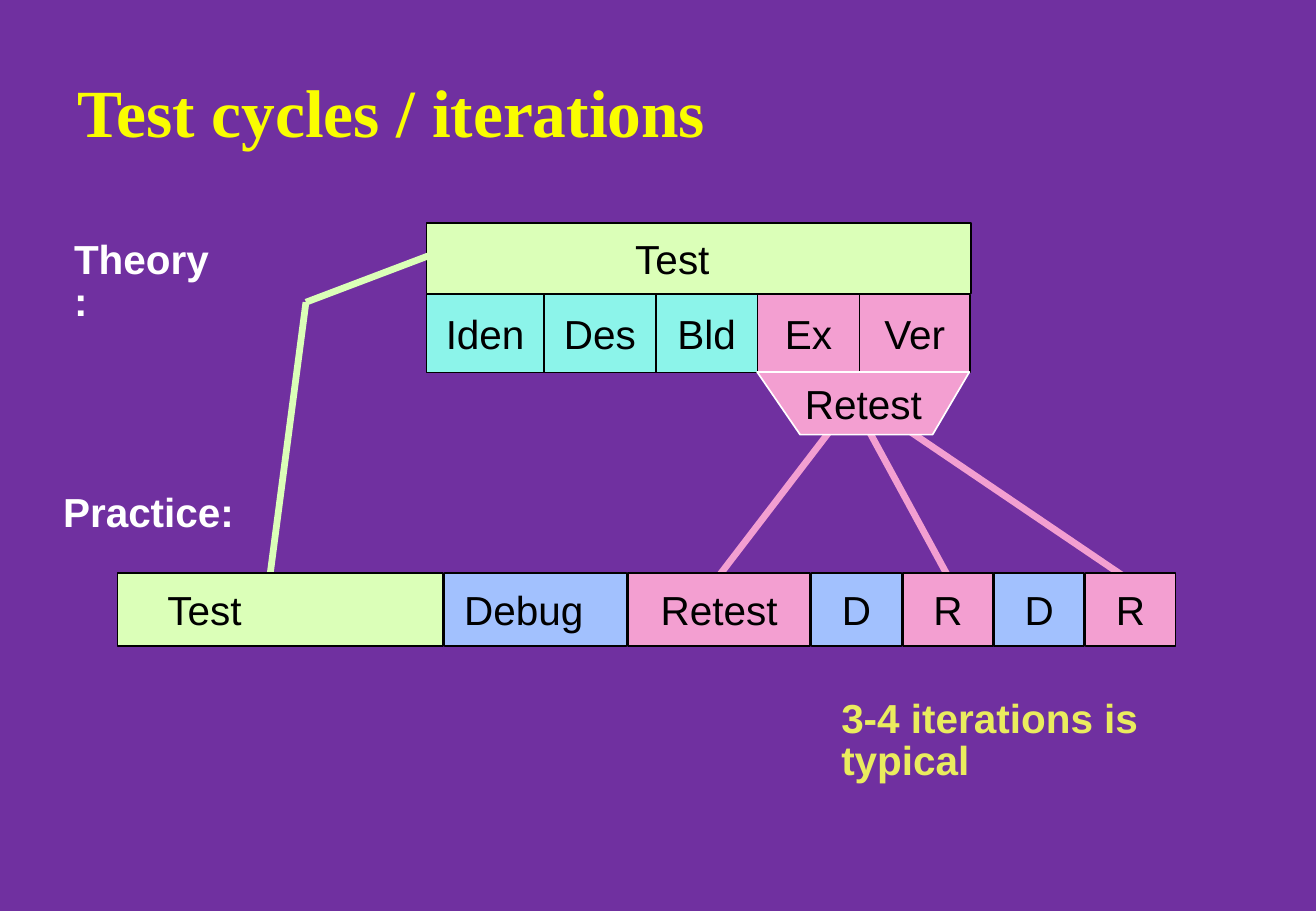
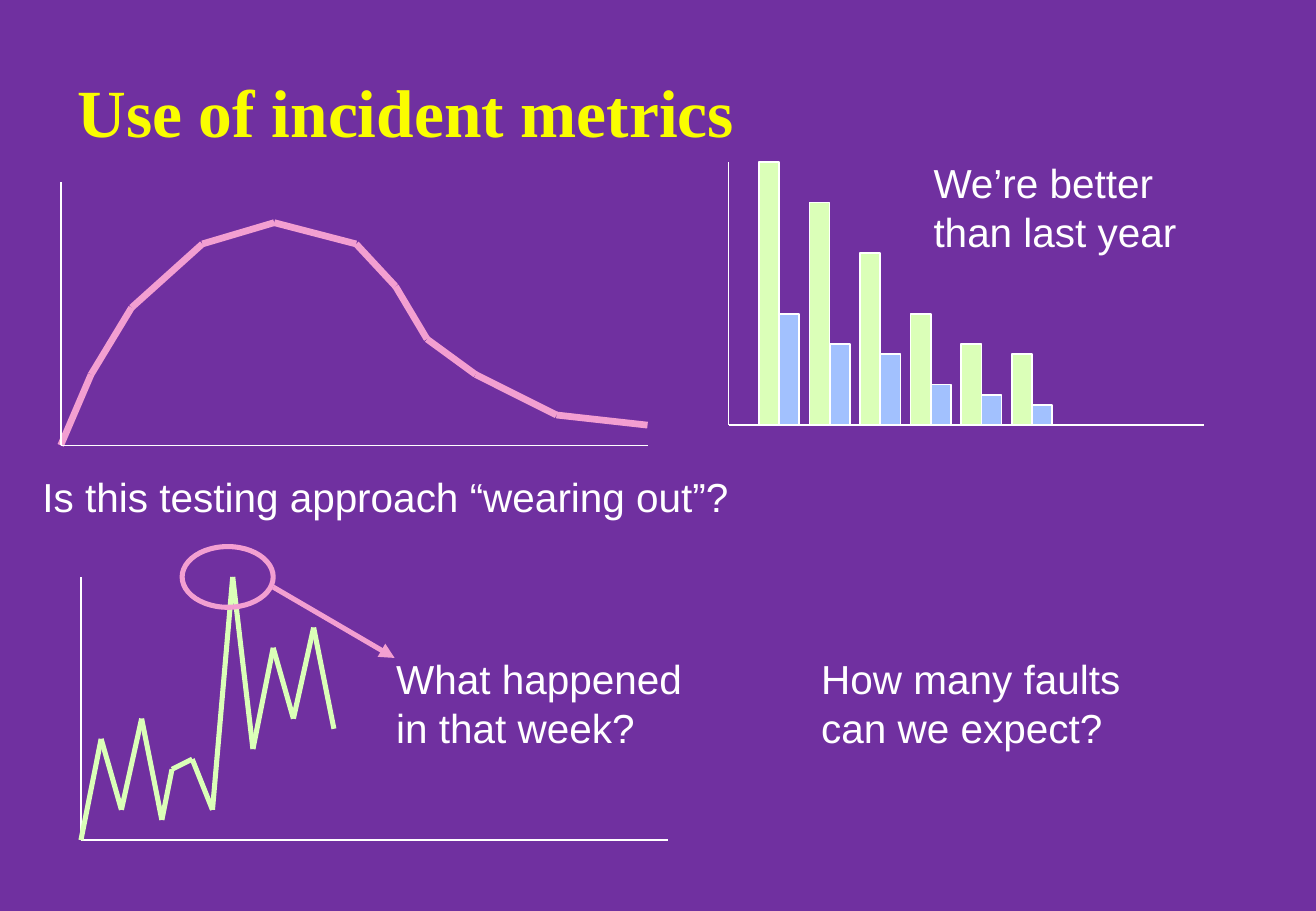
import itertools
from dataclasses import dataclass

import pptx
import pptx.dml.color
import pptx.enum.shapes
import pptx.enum.text
import pptx.oxml.ns
import pptx.oxml.xmlchemy
import pptx.util

Cm = pptx.util.Cm
Pt = pptx.util.Pt
Shape = pptx.enum.shapes.MSO_SHAPE
Align = pptx.enum.text.PP_ALIGN
Anchor = pptx.enum.text.MSO_ANCHOR


@dataclass(frozen=True)
class Theme:
    back: str = "7030A0"
    title: str = "FAFD00"
    note: str = "EAEC5E"
    white: str = "FFFFFF"
    black: str = "000000"
    green: str = "DBFFB8"
    blue: str = "A2C1FE"
    pink: str = "F39FD1"
    aqua: str = "8CF4EA"
    serif: str = "Times New Roman"
    sans: str = "Arial"
    head: int = 40
    body: int = 24
    thin: float = 0.99
    mid: int = 3
    thick: int = 4


T = Theme()
STEP = 2.54 / 12  # the metrics page sits on a grid of twelve steps per inch


def color(code):
    return pptx.dml.color.RGBColor.from_string(code)


def grid(*steps):
    """Turn grid steps into centimetres."""
    return [n * STEP for n in steps]


# Text

def write(frame, text, size=T.body, tint=T.white, font=T.sans, bold=False,
          align=Align.LEFT, anchor=Anchor.TOP, space=1.0, inset=(0.25, 0.13)):
    side, top = inset
    frame.margin_left = frame.margin_right = Cm(side)
    frame.margin_top = frame.margin_bottom = Cm(top)
    frame.vertical_anchor = anchor
    frame.text = text
    for para in frame.paragraphs:
        para.alignment = align
        para.line_spacing = space
        for run in para.runs:
            run.font.size = Pt(size)
            run.font.name = font
            run.font.bold = bold
            run.font.color.rgb = color(tint)


def label(page, text, box, **style):
    frame = page.shapes.add_textbox(*map(Cm, box)).text_frame
    write(frame, text, **style)
    frame.word_wrap = False
    frame.auto_size = pptx.enum.text.MSO_AUTO_SIZE.SHAPE_TO_FIT_TEXT


# Shapes and lines

def paint(shape, fill, edge, width=T.thin):
    shape.shadow.inherit = False
    if fill:
        shape.fill.solid()
        shape.fill.fore_color.rgb = color(fill)
    else:
        shape.fill.background()
    shape.line.color.rgb = color(edge)
    shape.line.width = Pt(width)


def block(page, box, fill, edge, kind=Shape.RECTANGLE, width=T.thin):
    shape = page.shapes.add_shape(kind, *map(Cm, box))
    paint(shape, fill, edge, width)
    return shape


def cell(page, text, box, fill, indent=None):
    """A framed cell; its text is centred unless an indent is given."""
    shape = block(page, box, fill, T.black)
    write(shape.text_frame, text, tint=T.black, anchor=Anchor.MIDDLE,
          align=Align.CENTER if indent is None else Align.LEFT,
          inset=(indent or 0, 0))


def line(page, start, end, tint, width=T.thin, arrow=False):
    link = page.shapes.add_connector(
        pptx.enum.shapes.MSO_CONNECTOR.STRAIGHT, *map(Cm, (*start, *end)))
    link.line.color.rgb = color(tint)
    link.line.width = Pt(width)
    props = link._element.spPr
    if arrow:
        tail = pptx.oxml.xmlchemy.OxmlElement("a:tailEnd")
        tail.set("type", "triangle")
        props.find(pptx.oxml.ns.qn("a:ln")).append(tail)
    props.append(pptx.oxml.xmlchemy.OxmlElement("a:effectLst"))


def trace(page, points, tint, width):
    for start, end in itertools.pairwise(points):
        line(page, start, end, tint, width)


def axes(page, left, base, wide, tall=26):
    """Two thin axes, in grid steps."""
    zero = grid(left, base)
    line(page, zero, grid(left + wide, base), T.white)
    line(page, zero, grid(left, base - tall), T.white)


def panel(page, text, points):
    """A closed outline with centred text."""
    first, *rest = [tuple(map(Cm, point)) for point in points]
    maker = page.shapes.build_freeform(*first)
    maker.add_line_segments(rest)
    shape = maker.convert_to_shape()
    paint(shape, T.pink, T.white)
    write(shape.text_frame, text, tint=T.black, align=Align.CENTER,
          anchor=Anchor.MIDDLE, inset=(0, 0))


# Pages

def start(deck, text):
    page = deck.slides.add_slide(deck.slide_layouts[5])
    head = page.shapes.title
    head.left, head.top, head.width, head.height = map(
        Cm, (1.37, 1.47, 23.39, 1.7))
    write(head.text_frame, text, size=T.head, tint=T.title, font=T.serif,
          bold=True, anchor=Anchor.MIDDLE)
    return page


def cycles(deck):
    page = start(deck, "Test cycles / iterations")

    # Row names and closing note
    for text, box, tint in (
            ("Theory:", (1.37, 4.95, 3.45, 1.02), T.white),
            ("Practice:", (1.14, 10.24, 3.94, 1.02), T.white),
            ("3-4 iterations is typical", (17.42, 14.55, 9.47, 1.02), T.note)):
        label(page, text, box, tint=tint, bold=True, space=0.87,
              inset=(0.18, 0.08))

    # Theory: one test made of five phases
    cell(page, "Test", (8.92, 4.67, 11.4, 1.47), T.green, indent=4.37)
    edges = (8.92, 11.38, 13.72, 15.85, 17.98, 20.29)
    names = ("Iden", "Des", "Bld", "Ex", "Ver")
    fills = (T.aqua,) * 3 + (T.pink,) * 2
    for name, fill, (left, right) in zip(
            names, fills, itertools.pairwise(edges)):
        cell(page, name, (left, 6.16, right - left, 1.63), fill)

    # Links from theory to practice
    trace(page, [(9.07, 5.31), (6.4, 6.32), (5.61, 12.32)], T.green, T.thick)
    for top, foot in ((17.5, 14.88), (18.08, 19.94), (18.75, 23.8)):
        line(page, (top, 8.83), (foot, 12.25), T.pink, T.thick)
    panel(page, "Retest",
          [(15.84, 7.78), (16.74, 9.09), (19.51, 9.09), (20.28, 7.78)])

    # Practice: repeated debug and retest
    left, gap = 2.46, 0.03
    for name, wide, fill, indent in (
            ("Test", 6.81, T.green, 1.04),
            ("Debug", 3.81, T.blue, 0.41),
            ("Retest", 3.81, T.pink, None),
            ("D", 1.88, T.blue, None), ("R", 1.88, T.pink, None),
            ("D", 1.88, T.blue, None), ("R", 1.88, T.pink, None)):
        cell(page, name, (left, 11.99, wide, 1.52), fill, indent)
        left += wide + gap


def metrics(deck):
    page = start(deck, "Use of incident metrics")

    # Rise and fall of incidents
    curve = ((6, 44), (9, 37), (13, 30.4), (20, 24.1), (27.1, 22),
             (35.2, 24.1), (39.1, 28.3), (42.2, 33.5), (47, 37), (55, 41),
             (64, 42))
    trace(page, [grid(*point) for point in curve], T.pink, T.thick)
    axes(page, 6, 44, 58)

    # Weekly counts with one peak
    axes(page, 8, 83, 58)
    weeks = (8, 10, 12, 14, 16, 17, 19, 21, 23, 25, 27, 29, 31, 33)
    counts = (0, 10, 3, 12, 2, 7, 8, 3, 26, 9, 19, 12, 21, 11)
    trace(page, [grid(week, 83 - count)
                 for week, count in zip(weeks, counts)], T.green, T.mid)

    # Last year beside this year
    axes(page, 72, 42, 47)
    for first, fill, bars in ((75, T.green, (26, 22, 17, 11, 8, 7)),
                              (77, T.blue, (11, 8, 7, 4, 3, 2))):
        for place, tall in enumerate(bars):
            block(page, grid(first + 5 * place, 42 - tall, 2, tall),
                  fill, T.white)

    # Questions and remarks
    for text, box in (
            ("Is this testing approach “wearing out”?",
             (0.64, 9.74, 14.86, 1.27)),
            ("What happened\nin that week?", (8.04, 13.55, 6.48, 2.29)),
            ("We’re better\nthan last year", (19.28, 3.18, 5.59, 2.29)),
            ("How many faults\ncan we expect?", (16.93, 13.55, 6.76, 2.29))):
        label(page, text, box)

    # Mark on the peak
    block(page, grid(18, 54, 9, 6), None, T.pink, Shape.OVAL, T.mid)
    line(page, grid(27, 58), grid(39, 65), T.pink, T.mid, arrow=True)


def main():
    deck = pptx.Presentation()
    deck.slide_width, deck.slide_height = Cm(27.53), Cm(19.05)
    back = deck.slide_master.background.fill
    back.solid()
    back.fore_color.rgb = color(T.back)
    cycles(deck)
    metrics(deck)
    deck.save("out.pptx")


main()
